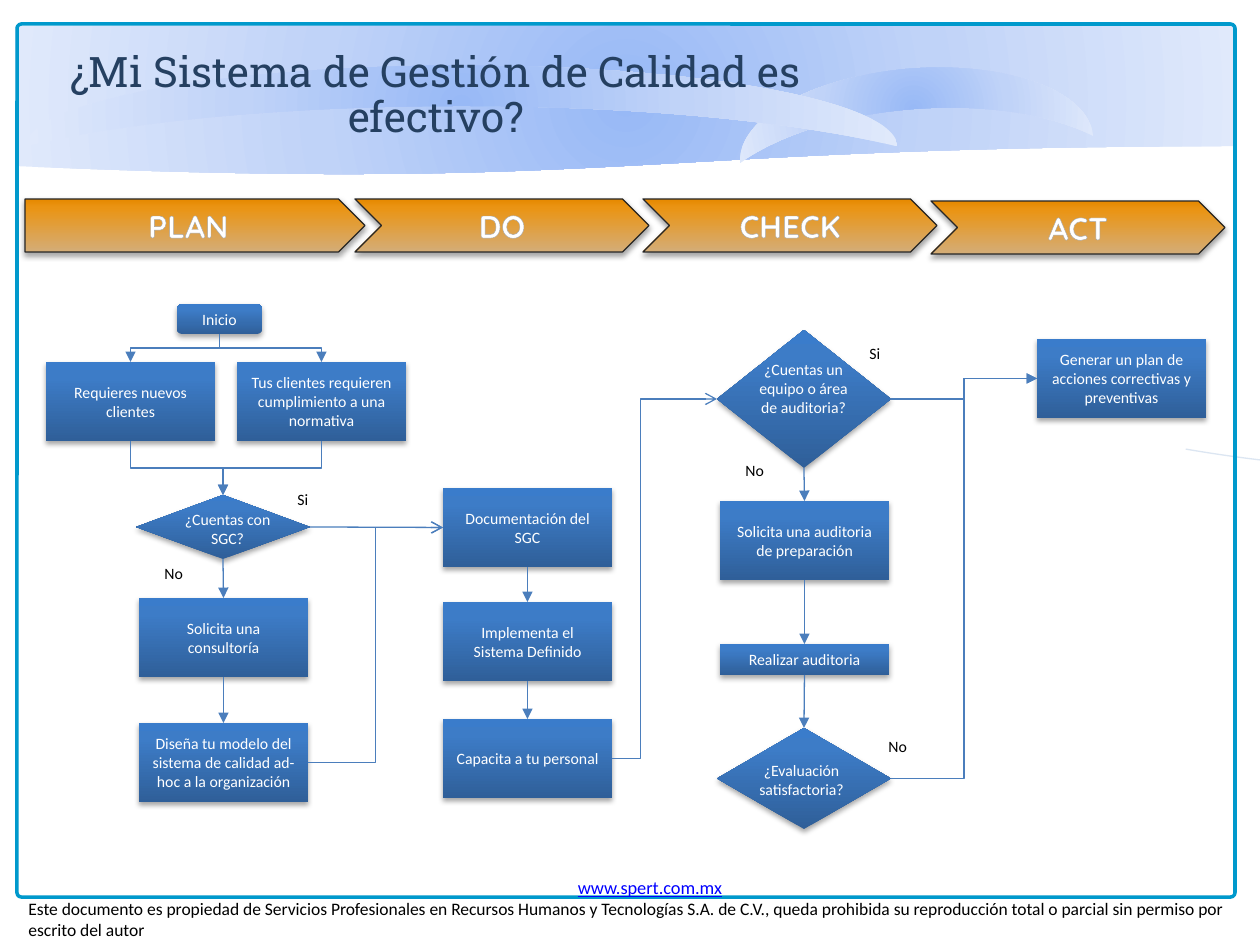
import pptx
import pptx.dml.color
import pptx.enum.dml
import pptx.enum.shapes
import pptx.enum.text
import pptx.oxml.ns
import pptx.util
from lxml import etree

SCALE = 914400 / 126
COLORS = {
    "title": "254061", "text": "000000", "white": "FFFFFF", "link": "0000FF",
    "frame": "0099CC", "arc": "DCE6F2", "connector": "4B7EBC",
    "phase_line": "262626", "text_outline": "A6A6A6", "shadow": "000000",
}
SKY = [(0, "98B9F6"), (50, "C0D3F8"), (100, "E0E9FB")]
BLUE = [(0, "2F5F99"), (80, "3D7CC7"), (100, "3A7CCB")]
ORANGE = [(0, "E68900"), (17, "EA9414"), (100, "D4AD77")]
KIND = pptx.enum.shapes.MSO_SHAPE
CENTER = pptx.enum.text.PP_ALIGN.CENTER
MIDDLE = pptx.enum.text.MSO_ANCHOR.MIDDLE
TOP, LEFT, BOTTOM, RIGHT = range(4)
qn = pptx.oxml.ns.qn


def px(value):
    return pptx.util.Emu(round(value * SCALE))


def rgb(name):
    return pptx.dml.color.RGBColor.from_string(COLORS[name])


def add_element(parent, tag, **attributes):
    return etree.SubElement(parent, qn(tag), {key: str(value) for key, value in attributes.items()})


def set_gradient(shape, stops, angle=None):
    shape.fill.background()
    properties = shape.element.spPr
    gradient = etree.Element(qn("a:gradFill"), rotWithShape="1")
    stop_list = add_element(gradient, "a:gsLst")
    for position, color in stops:
        stop = add_element(stop_list, "a:gs", pos=position * 1000)
        add_element(stop, "a:srgbClr", val=color)
    if angle is None:
        circle = add_element(gradient, "a:path", path="circle")
        add_element(circle, "a:fillToRect", l=50000, t=50000, r=50000, b=50000)
    else:
        add_element(gradient, "a:lin", ang=angle * 60000, scaled=0)
    properties.replace(properties.find(qn("a:noFill")), gradient)


def set_shadow(shape):
    effects = shape.element.spPr.find(qn("a:effectLst"))
    shadow = add_element(effects, "a:outerShdw", blurRad=40000, dist=23000, dir=5400000, rotWithShape=0)
    color = add_element(shadow, "a:srgbClr", val=COLORS["shadow"])
    add_element(color, "a:alpha", val=35000)


def add_run(paragraph, text, size, color, font="Calibri"):
    run = paragraph.add_run()
    run.text = text
    run.font.name = font
    run.font.size = pptx.util.Pt(size)
    run.font.color.rgb = rgb(color)
    return run


def add_figure(slide, kind, box, line=None, width=0.75, rotation=0):
    shape = slide.shapes.add_shape(kind, *map(px, box))
    shape.shadow.inherit = False
    shape.fill.background()
    shape.rotation = rotation
    if line:
        shape.line.color.rgb = rgb(line)
        shape.line.width = pptx.util.Pt(width)
    else:
        shape.line.fill.background()
    return shape


def add_step(slide, kind, box, text=None):
    shape = add_figure(slide, kind, box)
    set_gradient(shape, BLUE, 270)
    set_shadow(shape)
    if text:
        shape.text_frame.vertical_anchor = MIDDLE
        paragraph = shape.text_frame.paragraphs[0]
        paragraph.alignment = CENTER
        add_run(paragraph, text, 9, "white")
    return shape


def add_text(slide, box, text, color="text", wrap=False):
    frame = slide.shapes.add_textbox(*map(px, box)).text_frame
    frame.word_wrap = wrap
    paragraph = frame.paragraphs[0]
    if wrap:
        paragraph.alignment = CENTER
    add_run(paragraph, text, 9, color)


def add_phase(slide, kind, box, text):
    shape = add_figure(slide, kind, box, "phase_line")
    set_gradient(shape, ORANGE, 90)
    set_shadow(shape)
    shape.text_frame.vertical_anchor = MIDDLE
    paragraph = shape.text_frame.paragraphs[0]
    paragraph.alignment = CENTER
    run = add_run(paragraph, text, 18, "white", "Quicksand")
    run.font.bold = True
    outline = etree.Element(qn("a:ln"), w="9525")
    fill = add_element(outline, "a:solidFill")
    add_element(fill, "a:srgbClr", val=COLORS["text_outline"])
    run.font.fill
    run.text = text
    run.element.rPr.insert(0, outline) if hasattr(run, "element") else run._r.rPr.insert(0, outline)


def side_point(shape, side):
    x = shape.left + {LEFT: 0, RIGHT: shape.width}.get(side, shape.width // 2)
    y = shape.top + {TOP: 0, BOTTOM: shape.height}.get(side, shape.height // 2)
    return x, y


def style_connector(connector, head):
    connector.line.color.rgb = rgb("connector")
    connector.line.width = pptx.util.Pt(0.75)
    properties = connector.element.spPr
    add_element(properties.find(qn("a:ln")), "a:tailEnd", type=head)
    add_element(properties, "a:effectLst")


def add_straight(slide, start, end, sides=(BOTTOM, TOP), head="triangle"):
    points = side_point(start, sides[0]) + side_point(end, sides[1])
    connector = slide.shapes.add_connector(pptx.enum.shapes.MSO_CONNECTOR.STRAIGHT, *points)
    connector.begin_connect(start, sides[0])
    connector.end_connect(end, sides[1])
    style_connector(connector, head)


def add_elbow(slide, start, end, sides=(BOTTOM, TOP), head="triangle", bend=None):
    x1, y1 = side_point(start, sides[0])
    x2, y2 = side_point(end, sides[1])
    connector = slide.shapes.add_connector(pptx.enum.shapes.MSO_CONNECTOR.ELBOW, x1, y1, x2, y2)
    properties = connector.element.spPr
    if sides[0] == BOTTOM:
        width, height = abs(y2 - y1), abs(x2 - x1)
        connector.left, connector.top = (x1 + x2 - width) // 2, (y1 + y2 - height) // 2
        connector.width, connector.height = width, height
        frame = properties.find(qn("a:xfrm"))
        frame.set("rot", str((90 if x2 < x1 else 270) * 60000))
        frame.set("flipH", "0" if x2 < x1 else "1")
    if bend:
        values = properties.find(qn("a:prstGeom")).find(qn("a:avLst"))
        add_element(values, "a:gd", name="adj1", fmla=f"val {round(bend * 100000)}")
    style_connector(connector, head)


def add_backdrop(slide):
    for kind, box, rotation in [
        (KIND.FLOWCHART_DOCUMENT, (15, 26, 1222, 150), 0),
        (KIND.MOON, (873, -68, 81, 354), 85.6),
        (KIND.MOON, (421, -330, 81, 872), 90),
    ]:
        set_gradient(add_figure(slide, kind, box, rotation=rotation), SKY)
    arc = add_figure(slide, KIND.ARC, (1095, -261, 379, 1066), "arc", rotation=276.8)
    arc.adjustments[0] = 165.89 * 0.6
    arc.adjustments[1] = 202.33 * 0.6
    frame = add_figure(slide, KIND.ROUNDED_RECTANGLE, (17, 24, 1218, 873), "frame", 2)
    frame.adjustments[0] = 0.005


def add_title(slide, text):
    title = slide.shapes.title
    title.left, title.top, title.width, title.height = map(px, (42, 45, 788, 115))
    slide.shapes.element.append(title.element)
    title.text_frame.auto_size = pptx.enum.text.MSO_AUTO_SIZE.NONE
    title.text_frame.vertical_anchor = pptx.enum.text.MSO_ANCHOR.TOP
    paragraph = title.text_frame.paragraphs[0]
    paragraph.alignment = CENTER
    paragraph.line_spacing = 0.9
    add_run(paragraph, text, 24, "title", "Roboto Slab")


def add_footer(slide):
    frame = slide.shapes.add_textbox(*map(px, (16, 870, 1268, 77))).text_frame
    frame.word_wrap = True
    address = frame.paragraphs[0]
    address.alignment = CENTER
    add_run(address, "www.spert.com.mx", 10.5, "link").font.underline = True
    add_run(frame.add_paragraph(), "Este documento es propiedad de Servicios Profesionales en Recursos Humanos y Tecnologías S.A. de C.V., queda prohibida su reproducción total o parcial sin permiso por escrito del autor", 10, "text")


def add_flow(slide):
    def box(x, y, text, height=79):
        return add_step(slide, KIND.RECTANGLE, (x, y, 169, height), text)

    def decision(x, y, height):
        return add_step(slide, KIND.DIAMOND, (x, y, 174, height))

    start = add_step(slide, KIND.ROUNDED_RECTANGLE, (177, 304, 85, 30), "Inicio")
    clients = box(46, 362, "Requieres nuevos clientes")
    standard = box(237, 362, "Tus clientes requieren cumplimiento a una normativa")
    has_system = decision(136, 495, 64)
    consulting = box(139, 598, "Solicita una consultoría")
    model = box(139, 723, "Diseña tu modelo del sistema de calidad ad-hoc a la organización")
    documents = box(443, 488, "Documentación del SGC")
    implement = box(443, 602, "Implementa el Sistema Definido")
    training = box(443, 719, "Capacita a tu personal")
    has_team = decision(717, 330, 138)
    preparation = box(720, 501, "Solicita una auditoria de preparación")
    audit = box(720, 644, "Realizar auditoria", 31)
    evaluation = decision(717, 728, 101)
    actions = box(1037, 339, "Generar un plan de acciones correctivas y preventivas")

    for first, second in [(start, clients), (start, standard), (clients, has_system), (standard, has_system)]:
        add_elbow(slide, first, second)
    for chain in [(has_system, consulting, model), (documents, implement, training),
                  (has_team, preparation, audit, evaluation)]:
        for first, second in zip(chain, chain[1:]):
            add_straight(slide, first, second)
    across = (RIGHT, LEFT)
    add_straight(slide, has_system, documents, across, "arrow")
    add_elbow(slide, model, documents, across, "arrow")
    add_elbow(slide, training, has_team, across, "arrow", 0.27)
    add_elbow(slide, has_team, actions, across)
    add_elbow(slide, evaluation, actions, across)

    for place, text in [((169, 504, 117, 50), "¿Cuentas con SGC?"),
                        ((745, 354, 117, 89), "¿Cuentas un equipo o área de auditoria?"),
                        ((743, 755, 117, 50), "¿Evaluación satisfactoria?")]:
        add_text(slide, place, text, "white", True)
    for x, y, text in [(285, 484, "Si"), (152, 558, "No"), (857, 338, "Si"), (733, 455, "No"), (876, 731, "No")]:
        add_text(slide, (x, y, 44 if text == "No" else 37, 32), text)


def main():
    presentation = pptx.Presentation()
    presentation.slide_width, presentation.slide_height = px(1260), px(945)
    slide = presentation.slides.add_slide(presentation.slide_layouts[5])
    add_backdrop(slide)
    add_title(slide, "¿Mi Sistema de Gestión de Calidad es efectivo?")
    add_footer(slide)
    add_flow(slide)
    add_phase(slide, KIND.PENTAGON, (25, 199, 340, 53), "PLAN")
    for index, text in enumerate(["DO", "CHECK", "ACT"]):
        add_phase(slide, KIND.CHEVRON, (355 + 288 * index, 201 if text == "ACT" else 199, 294, 53), text)
    presentation.save("out.pptx")


if __name__ == "__main__":
    main()
